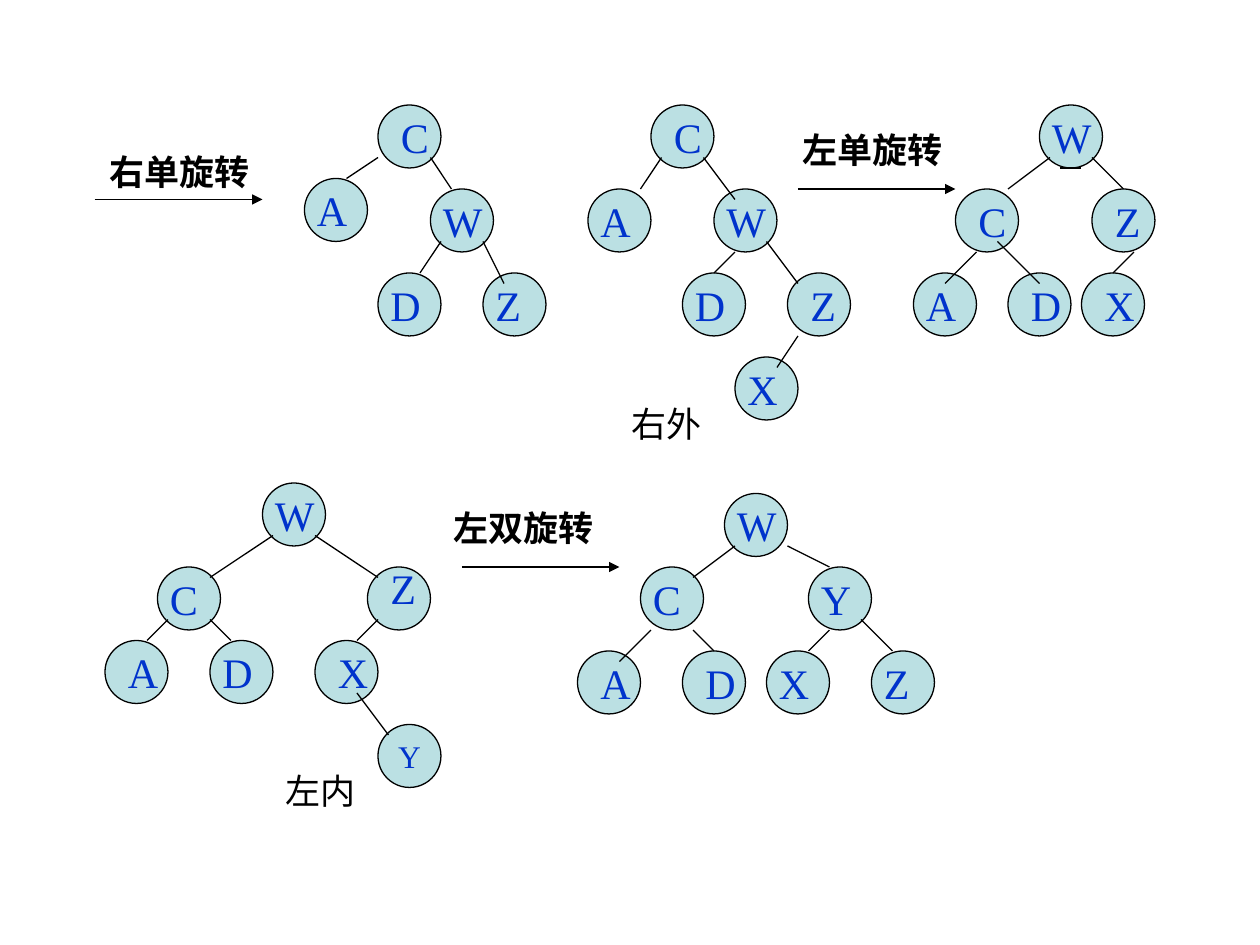
from typing import NamedTuple

from lxml.etree import SubElement
from pptx import Presentation
from pptx.dml.color import RGBColor
from pptx.enum.shapes import MSO_CONNECTOR as Connector, MSO_SHAPE as Preset
from pptx.enum.text import MSO_ANCHOR as Anchor, MSO_AUTO_SIZE as AutoSize, PP_ALIGN as Align
from pptx.oxml.ns import qn
from pptx.util import Inches, Pt

BLACK = RGBColor(0x00, 0x00, 0x00)
NODE_FILL = RGBColor(0xBB, 0xE0, 0xE3)
LETTER_BLUE = RGBColor(0x00, 0x33, 0xCC)
FONT = "Times New Roman"

# The slide is a grid of 120 columns by 90 rows
COLUMNS, ROWS = 120, 90
CELL = Inches(10) / COLUMNS
NODE_SIZE = 6
LETTER_WIDTHS = {"C": 0.42, "W": 0.52, "Z": 0.4}  # inches; other letters use 0.44


class Node(NamedTuple):
    letter: str
    col: int
    row: int
    shift_col: int = 0
    shift_row: int = 0
    inside: bool = False  # letter is held by the circle itself


class Line(NamedTuple):
    col1: int
    row1: int
    col2: int
    row2: int


class Label(NamedTuple):
    text: str
    col: float
    row: float
    width: float
    height: float
    bold: bool = False


class Rotation(NamedTuple):
    nodes: list[Node]
    edges: list[Line]
    arrow: Line
    labels: list[Label]


def rotation_name(text: str, col: float, row: float) -> Label:
    return Label(text, col, row, 1.33, 0.44, bold=True)


def case_name(text: str, col: float, row: float) -> Label:
    return Label(text, col, row, 0.76, 0.43)


ROTATIONS = [
    # Result of the single right rotation
    Rotation(
        [Node("A", 29, 17), Node("C", 36, 10, 1), Node("W", 41, 18),
         Node("Z", 46, 26), Node("D", 36, 26)],
        [Line(36, 15, 33, 17), Line(41, 15, 43, 18),
         Line(46, 23, 48, 27), Line(42, 23, 40, 26)],
        Line(9, 19, 25, 19),
        [rotation_name("右单旋转", 9.25, 13.7)],
    ),
    # Single left rotation: before, then after
    Rotation(
        [Node("C", 62, 10, 1), Node("A", 56, 18), Node("W", 68, 18),
         Node("Z", 75, 26, 1), Node("D", 65, 26), Node("X", 70, 34),
         Node("W", 99, 10), Node("C", 91, 18, 1), Node("Z", 104, 18, 1),
         Node("A", 87, 26), Node("D", 96, 26, 1), Node("X", 103, 26, 1)],
        [Line(63, 15, 61, 18), Line(67, 15, 70, 19), Line(73, 23, 76, 27),
         Line(70, 24, 68, 26), Line(76, 32, 74, 35),
         Line(101, 16, 103, 16), Line(100, 15, 96, 18), Line(104, 15, 107, 18),
         Line(95, 23, 99, 27), Line(108, 24, 106, 26), Line(93, 24, 90, 27)],
        Line(76, 18, 91, 18),
        [rotation_name("左单旋转", 75.25, 11.65), case_name("右外", 59, 37.7)],
    ),
    # Double left rotation: before, then after
    Rotation(
        [Node("W", 25, 46), Node("C", 15, 54), Node("Z", 35, 54, 1, -1),
         Node("A", 10, 61, 1), Node("D", 20, 61), Node("X", 30, 61, 1),
         Node("Y", 36, 69, inside=True),
         Node("W", 69, 47), Node("C", 61, 54), Node("Y", 77, 54),
         Node("A", 55, 62, 1), Node("D", 65, 62, 1), Node("X", 73, 62),
         Node("Z", 83, 62)],
        [Line(26, 51, 20, 55), Line(30, 51, 36, 55), Line(16, 59, 14, 61),
         Line(20, 59, 22, 61), Line(36, 59, 34, 61), Line(34, 66, 37, 70),
         Line(70, 52, 66, 55), Line(75, 52, 79, 54), Line(62, 60, 59, 63),
         Line(66, 60, 68, 62), Line(79, 60, 77, 62), Line(82, 59, 85, 62)],
        Line(44, 54, 59, 54),
        [rotation_name("左双旋转", 42, 47.65), case_name("左内", 26, 72.7)],
    ),
]


def grid(cells: float) -> int:
    return round(cells * CELL)


def write(shape, text: str, *, size: int, color: RGBColor = LETTER_BLUE,
          bold: bool = False, align: Align = Align.LEFT) -> None:
    frame = shape.text_frame
    frame.word_wrap = False
    paragraph = frame.paragraphs[0]
    paragraph.alignment = align
    run = paragraph.add_run()
    run.text = text
    run.font.name = FONT
    run.font.size = Pt(size)
    run.font.bold = bold
    run.font.color.rgb = color


def draw_text(group, text: str, col: float, row: float, width: float,
              height: float, **style) -> None:
    box = group.shapes.add_textbox(grid(col), grid(row), Inches(width), Inches(height))
    write(box, text, **style)
    box.text_frame.auto_size = AutoSize.SHAPE_TO_FIT_TEXT


def draw_circle(group, node: Node) -> None:
    circle = group.shapes.add_shape(Preset.FLOWCHART_CONNECTOR, grid(node.col),
                                    grid(node.row), grid(NODE_SIZE), grid(NODE_SIZE))
    circle.shadow.inherit = False
    circle.fill.solid()
    circle.fill.fore_color.rgb = NODE_FILL
    circle.line.color.rgb = BLACK
    circle.line.width = Pt(0.75)
    if node.inside:
        write(circle, node.letter, size=18, align=Align.CENTER)
        circle.text_frame.vertical_anchor = Anchor.MIDDLE


def draw_letter(group, node: Node) -> None:
    draw_text(group, node.letter, node.col + node.shift_col, node.row + node.shift_row,
              LETTER_WIDTHS.get(node.letter, 0.44), 0.5, size=24)


def draw_line(group, line: Line, arrowhead: bool = False) -> None:
    connector = group.shapes.add_connector(Connector.STRAIGHT, *map(grid, line))
    connector.line.color.rgb = BLACK
    connector.line.width = Pt(0.75)
    if arrowhead:
        SubElement(connector.line._get_or_add_ln(), qn("a:tailEnd"), type="triangle")
    SubElement(connector._element.spPr, qn("a:effectLst"))


def draw_rotation(slide, rotation: Rotation) -> None:
    group = slide.shapes.add_group_shape()
    for node in rotation.nodes:
        draw_circle(group, node)
    for edge in rotation.edges:
        draw_line(group, edge)
    draw_line(group, rotation.arrow, arrowhead=True)
    for label in rotation.labels:
        draw_text(group, label.text, label.col, label.row, label.width, label.height,
                  size=20, color=BLACK, bold=label.bold)
    for node in rotation.nodes:
        if not node.inside:
            draw_letter(group, node)


def main() -> None:
    deck = Presentation()
    deck.slide_width, deck.slide_height = grid(COLUMNS), grid(ROWS)
    slide = deck.slides.add_slide(deck.slide_layouts[6])
    for rotation in ROTATIONS:
        draw_rotation(slide, rotation)
    deck.save("out.pptx")


if __name__ == "__main__":
    main()
